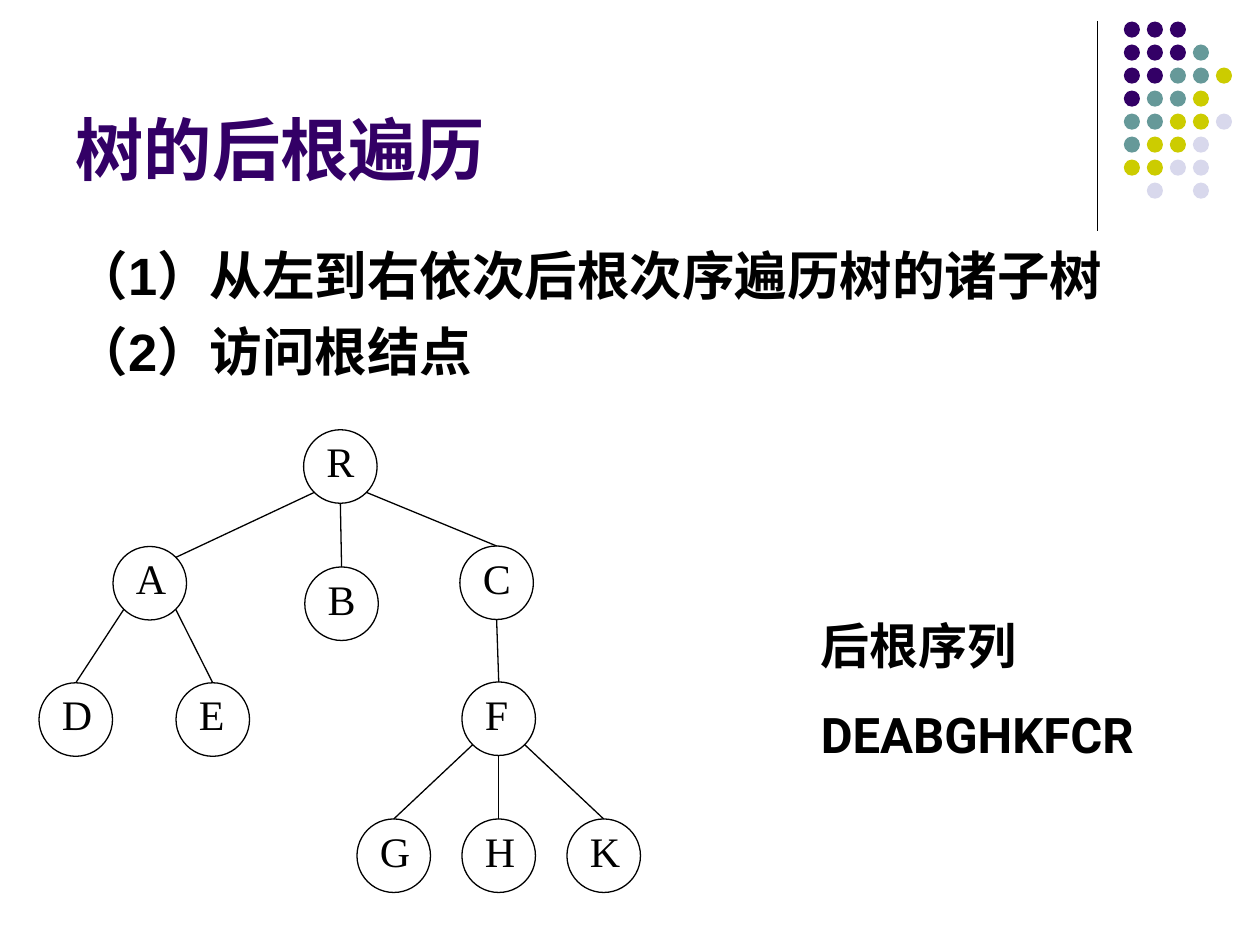
from dataclasses import dataclass

from lxml.etree import SubElement
from pptx import Presentation
from pptx.dml.color import RGBColor as RGB
from pptx.enum.shapes import MSO_CONNECTOR as CXN, MSO_SHAPE as SHAPE
from pptx.enum.text import MSO_ANCHOR as ANCHOR, MSO_AUTO_SIZE as FIT, PP_ALIGN as ALIGN
from pptx.oxml.ns import qn
from pptx.util import Pt


@dataclass(frozen=True)
class Theme:
    ink: str = "000000"
    purple: str = "330066"
    teal: str = "669999"
    olive: str = "CCCC00"
    lilac: str = "D8D8EC"
    heading: str = "Arial"
    label: str = "Times New Roman"
    result: str = "Roboto"
    title_size: float = 39
    body_size: float = 30
    result_size: float = 28
    label_size: float = 24
    line: float = 0.75


DOT_ROWS = ["PPP", "PPPT", "PPTTY", "PTTY", "TTYYL", "TYYL", "YYLL", " L L"]
DOT_LEFT, DOT_TOP, DOT_PITCH, DOT_SIZE = 642.2, 12.3, 13.15, 9.2

NODE = 42
NODES = {  # letter: left, top, label width
    "R": (173.5, 245.6, 30.4), "A": (64.6, 312.3, 31.7), "B": (174.2, 324, 30.4),
    "C": (262.8, 312, 30.4), "D": (22.3, 390.2, 31.7), "E": (100.6, 390.2, 29),
    "F": (264, 389.7, 27.8), "G": (204, 468, 31.7), "H": (264, 468, 31.7),
    "K": (324, 468, 31.7),
}
# Points on a node's rim, as shares of its width and height
RIM = {"top": (0.5, 0), "bottom": (0.5, 1), "bottom left": (0.15, 0.85),
       "bottom right": (0.85, 0.85), "top right": (0.85, 0.15)}
EDGES = [
    ("R", "bottom left", "A", "top right"), ("R", "bottom", "B", "top"),
    ("R", "bottom right", "C", "top"), ("A", "bottom left", "D", "top"),
    ("A", "bottom right", "E", "top"), ("C", "bottom", "F", "top"),
    ("F", "bottom left", "G", "top"), ("F", "bottom", "H", "top"),
    ("F", "bottom right", "K", "top"),
]


class Deck:
    def __init__(self, theme):
        self.theme = theme
        self.prs = Presentation()
        self.prs.slide_width, self.prs.slide_height = Pt(720), Pt(540)
        self.s = self.prs.slides.add_slide(self.prs.slide_layouts[1])

    def fill_text(self, tf, lines, size, name, color, bold=False, gap=0, **frame):
        """Fill a text frame with left-aligned lines, gap points apart."""
        for key, value in frame.items():
            setattr(tf, key, value)
        for i, line in enumerate(lines):
            p = tf.paragraphs[0] if i == 0 else tf.add_paragraph()
            p.alignment = ALIGN.LEFT
            p.space_before = Pt(gap if i else 0)
            r = p.add_run()
            r.text = line
            for key, value in dict(size=Pt(size), name=name, bold=bold).items():
                setattr(r.font, key, value)
            r.font.color.rgb = RGB.from_string(color)

    def place(self, sp, *box):
        for key, value in zip(("left", "top", "width", "height"), box):
            setattr(sp, key, Pt(value))

    def title(self, text, *box):
        t, sp = self.theme, self.s.shapes.title
        self.place(sp, *box)
        self.fill_text(sp.text_frame, [text], t.title_size, t.heading, t.purple,
                       bold=True, vertical_anchor=ANCHOR.BOTTOM, auto_size=FIT.NONE)

    def body(self, lines, *box):
        t, sp = self.theme, self.s.placeholders[1]
        self.place(sp, *box)
        self.fill_text(sp.text_frame, lines, t.body_size, t.heading, t.ink, bold=True,
                       gap=7.5, auto_size=FIT.NONE)
        for p in sp.text_frame.paragraphs:
            pPr = p._p.get_or_add_pPr()
            pPr.set("marL", str(Pt(27)))
            pPr.set("indent", str(Pt(-27)))
            SubElement(pPr, qn("a:buNone"))

    def text(self, lines, box, size, name, **style):
        sp = self.s.shapes.add_textbox(*map(Pt, box))
        self.fill_text(sp.text_frame, lines, size, name, self.theme.ink,
                       auto_size=FIT.SHAPE_TO_FIT_TEXT, **style)

    def circle(self, left, top, size, fill=None):
        sp = self.s.shapes.add_shape(SHAPE.OVAL, *map(Pt, (left, top, size, size)))
        sp.shadow.inherit = False
        if fill:
            sp.fill.solid()
            sp.fill.fore_color.rgb = RGB.from_string(fill)
            sp.line.fill.background()
        else:
            sp.fill.background()
            self.stroke(sp.line)

    def stroke(self, line):
        line.width = Pt(self.theme.line)
        line.color.rgb = RGB.from_string(self.theme.ink)

    def line(self, start, end):
        sp = self.s.shapes.add_connector(CXN.STRAIGHT, *map(Pt, (*start, *end)))
        self.stroke(sp.line)
        SubElement(sp._element.spPr, qn("a:effectLst"))

    def dots(self):
        t = self.theme
        colors = {"P": t.purple, "T": t.teal, "Y": t.olive, "L": t.lilac}
        for row, keys in enumerate(DOT_ROWS):
            for col, key in enumerate(keys):
                if key in colors:
                    self.circle(DOT_LEFT + col * DOT_PITCH, DOT_TOP + row * DOT_PITCH,
                                DOT_SIZE, colors[key])

    def node(self, letter):
        left, top, width = NODES[letter]
        self.circle(left, top, NODE)
        self.text([letter], (left + 6, top, width, 36), self.theme.label_size,
                  self.theme.label, word_wrap=False)

    def edge(self, parent, leave, child, enter):
        start, end = (
            [pos + NODE * share for pos, share in zip(NODES[letter], RIM[side])]
            for letter, side in ((parent, leave), (child, enter)))
        self.line(start, end)


def main():
    theme = Theme()
    deck = Deck(theme)
    deck.line((627, 12), (627, 132))
    deck.dots()
    deck.title("树的后根遍历", 36, 9.5, 594, 102)
    deck.body(["（1）从左到右依次后根次序遍历树的诸子树", "（2）访问根结点"],
              36, 135, 648, 347)
    for edge in EDGES:
        deck.edge(*edge)
    for letter in NODES:
        deck.node(letter)
    deck.text(["后根序列", "DEABGHKFCR"], (462, 348, 230, 92), theme.result_size,
              theme.result, bold=True, gap=17.5, word_wrap=True)
    deck.prs.save("out.pptx")


if __name__ == "__main__":
    main()
